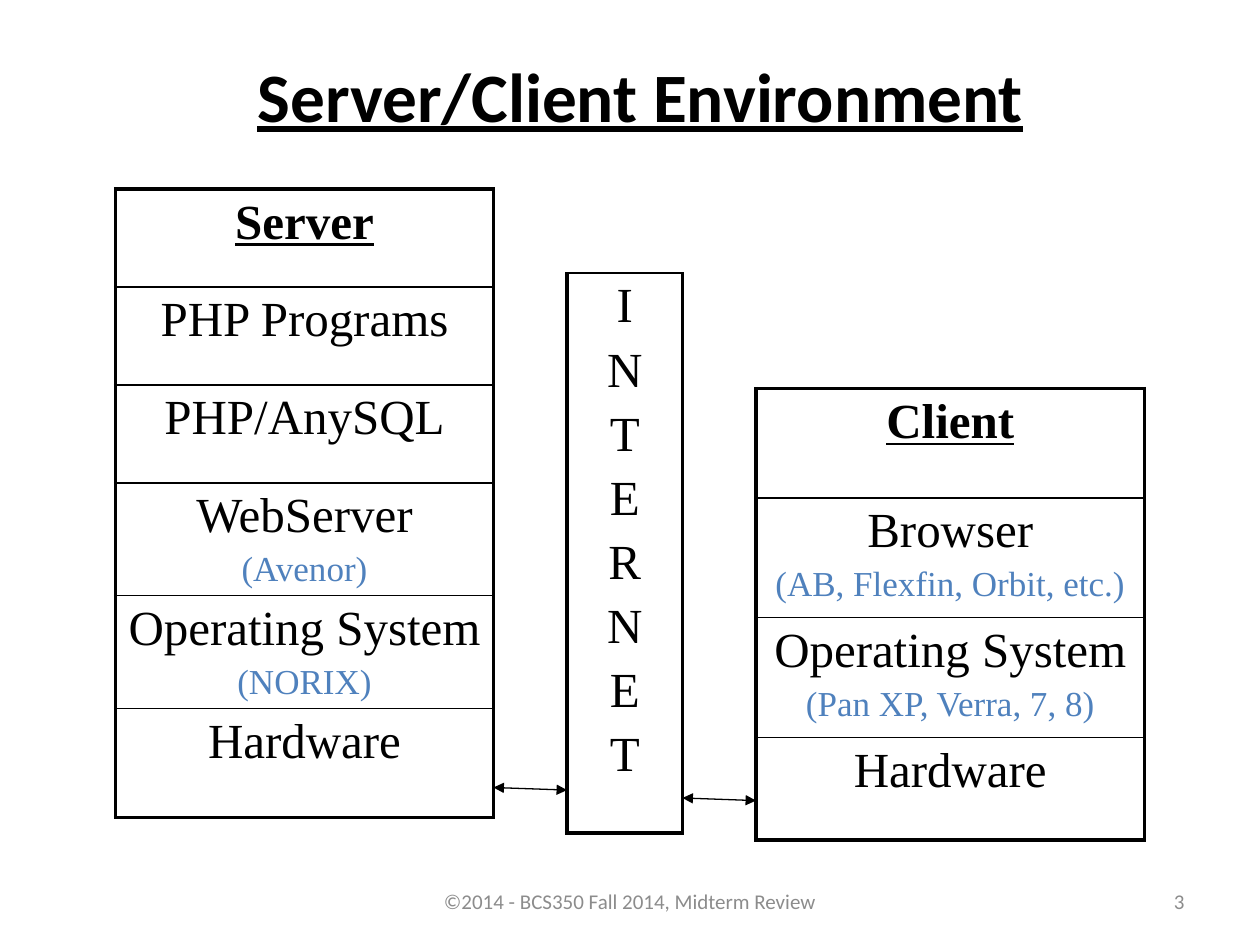
from lxml.etree import SubElement
from pptx import Presentation
from pptx.dml.color import RGBColor
from pptx.enum.shapes import MSO_CONNECTOR as CONN
from pptx.enum.text import MSO_ANCHOR as ANCHOR, MSO_AUTO_SIZE as AUTO, PP_ALIGN as ALIGN
from pptx.oxml import parse_xml
from pptx.oxml.ns import nsdecls, qn
from pptx.util import Pt

BLACK = RGBColor(0x00, 0x00, 0x00)
BLUE = RGBColor(0x4F, 0x81, 0xBD)
GRAY = RGBColor(0x8C, 0x8C, 0x8C)
SANS, SERIF = "Calibri", "Times New Roman"
THICK, THIN = 2.25, 1

SERVER = [("Server", 56), ("PHP Programs", 56), ("PHP/AnySQL", 56),
          ("WebServer\n(Avenor)", 60.5), ("Operating System\n(NORIX)", 60.5),
          ("Hardware", 62.5)]
CLIENT = [("Client", 62.5), ("Browser\n(AB, Flexfin, Orbit, etc.)", 68.5),
          ("Operating System\n(Pan XP, Verra, 7, 8)", 68.5), ("Hardware", 58.5)]


def style(p, size, color, font, align=ALIGN.CENTER, heading=False):
    """Align a paragraph and format its runs."""
    p.alignment = align
    for r in p.runs:
        r.font.size = Pt(size)
        r.font.name = font
        r.font.color.rgb = color
        r.font.bold = r.font.underline = heading


def set_borders(cell, top, bottom):
    """Draw thick sides and the given top and bottom lines around a cell."""
    tc_pr = cell._tc.get_or_add_tcPr()
    sides = [("lnL", THICK), ("lnR", THICK), ("lnT", top), ("lnB", bottom)]
    for i, (tag, width) in enumerate(sides):
        tc_pr.insert(i, parse_xml(
            f'<a:{tag} {nsdecls("a")} w="{Pt(width)}"><a:solidFill>'
            f'<a:srgbClr val="{BLACK}"/></a:solidFill></a:{tag}>'))


def fill_cell(cell, text, heading=False, note=True):
    """Write centred lines in a cell; a second line may be a small blue note."""
    cell.fill.background()
    cell.margin_left = cell.margin_right = Pt(6)
    cell.text_frame.text = text
    for i, p in enumerate(cell.text_frame.paragraphs):
        size, color = (20, BLUE) if note and i else (28, BLACK)
        style(p, size, color, SERIF, heading=heading)
        p.space_before = Pt(0.2 * size)


def add_grid(s, x, y, w, heights):
    """Add an unstyled one-column table and return its cells."""
    frame = s.shapes.add_table(len(heights), 1, Pt(x), Pt(y), Pt(w), Pt(sum(heights)))
    table = frame.table
    table.first_row = table.horz_banding = False
    for row, height in zip(table.rows, heights):
        row.height = Pt(height)
    return list(table.iter_cells())


def add_stack(s, x, y, w, layers):
    """Add a stack of layers under an underlined heading."""
    cells = add_grid(s, x, y, w, [height for _, height in layers])
    last = len(cells) - 1
    for i, (cell, (text, _)) in enumerate(zip(cells, layers)):
        fill_cell(cell, text, heading=i == 0)
        set_borders(cell, THICK if i == 0 else THIN, THICK if i == last else THIN)


def add_internet(s, x, y, w, h):
    """Add the tall column with one letter on each line."""
    cell, = add_grid(s, x, y, w, [h])
    fill_cell(cell, "\n".join("INTERNET"), note=False)
    set_borders(cell, THIN, THICK)


def add_link(s, x1, y1, x2, y2):
    """Add a thin line with an arrowhead at both ends."""
    c = s.shapes.add_connector(CONN.STRAIGHT, Pt(x1), Pt(y1), Pt(x2), Pt(y2))
    c.line.color.rgb = BLACK
    c.line.width = Pt(0.75)
    ln = c.line._get_or_add_ln()
    for tag in ("a:headEnd", "a:tailEnd"):
        SubElement(ln, qn(tag)).set("type", "triangle")
    SubElement(c._element.spPr, qn("a:effectLst"))


def add_title(s, x, y, w, h):
    """Place and format the title placeholder."""
    sp = s.shapes.title
    sp.left, sp.top, sp.width, sp.height = Pt(x), Pt(y), Pt(w), Pt(h)
    tf = sp.text_frame
    tf.text = "Server/Client Environment"
    tf.auto_size = AUTO.NONE
    tf.vertical_anchor = ANCHOR.MIDDLE
    style(tf.paragraphs[0], 39.6, BLACK, SANS, heading=True)


def add_footer(s, x, y, w, h, text, align):
    """Add one gray footer text."""
    tf = s.shapes.add_textbox(Pt(x), Pt(y), Pt(w), Pt(h)).text_frame
    tf.word_wrap = True
    tf.vertical_anchor = ANCHOR.MIDDLE
    tf.text = text
    style(tf.paragraphs[0], 12, GRAY, SANS, align)


def main():
    """Build the slide and save it."""
    prs = Presentation()
    prs.slide_width, prs.slide_height = Pt(720), Pt(540)
    s = prs.slides.add_slide(prs.slide_layouts[5])
    add_title(s, 60, 30, 612, 48)
    add_stack(s, 66, 108, 216, SERVER)
    add_stack(s, 432, 222, 222, CLIENT)
    add_internet(s, 324, 156, 66, 320)
    add_link(s, 282, 450, 324, 451.5)
    add_link(s, 390, 456, 432, 457.5)
    add_footer(s, 516, 500.5, 168, 28.75, "3", ALIGN.RIGHT)
    add_footer(s, 246, 500.5, 228, 28.75,
               "©2014 - BCS350 Fall 2014, Midterm Review", ALIGN.CENTER)
    prs.save("out.pptx")


if __name__ == "__main__":
    main()
